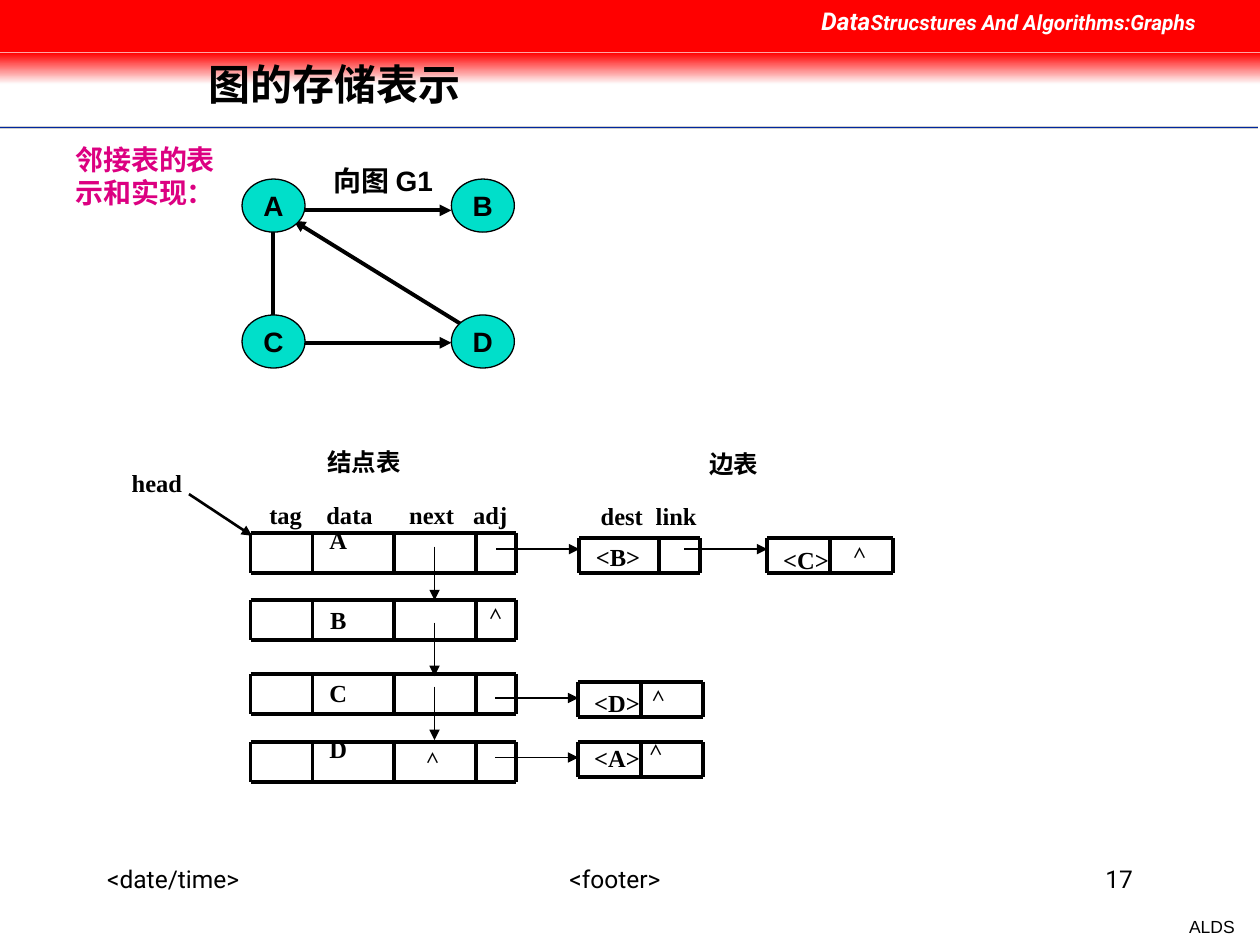
from lxml import etree
from pptx import Presentation
from pptx import util as u
from pptx.dml.color import RGBColor
from pptx.enum import shapes, text as t
from pptx.oxml.ns import qn

BLACK, WHITE, RED, PINK, TEAL = "000000", "FFFFFF", "FF0000", "DC0081", "00DFCA"
SANS, SERIF, CHINESE, HEADER = "Arial", "Times New Roman", "Noto Sans CJK SC", "Roboto"
LEFT, CENTER, RIGHT = t.PP_ALIGN.LEFT, t.PP_ALIGN.CENTER, t.PP_ALIGN.RIGHT


def color(hex_code):
    return RGBColor.from_string(hex_code)


def write(paragraph, words, size=14, font=SERIF, ink=BLACK, bold=True, italic=False):
    run = paragraph.add_run()
    run.text = words
    face = run.font
    face.size, face.bold, face.italic, face.name = u.Pt(size), bold, italic, font
    face.color.rgb = color(ink)
    etree.SubElement(face._element, qn("a:ea")).set("typeface", CHINESE)


def label(slide, words, x, y, w, h, align=LEFT, anchor=t.MSO_ANCHOR.TOP, wrap=True,
          fill=None, tabs=(), **style):
    """Place a text box and return its paragraph; tabs are stops in cm."""
    box = slide.shapes.add_textbox(u.Cm(x), u.Cm(y), u.Cm(w), u.Cm(h))
    if fill:
        box.fill.solid()
        box.fill.fore_color.rgb = color(fill)
    frame = box.text_frame
    frame.word_wrap, frame.vertical_anchor = wrap, anchor
    paragraph = frame.paragraphs[0]
    paragraph.alignment = align
    if tabs:
        stops = etree.SubElement(paragraph._p.get_or_add_pPr(), qn("a:tabLst"))
        for stop in tabs:
            etree.SubElement(stops, qn("a:tab"), pos=str(u.Cm(stop)), algn="l")
    write(paragraph, words, **style)
    return paragraph


def line(slide, x1, y1, x2, y2, width=2.25, ink=BLACK, arrow=False):
    stroke = slide.shapes.add_connector(
        shapes.MSO_CONNECTOR.STRAIGHT, u.Cm(x1), u.Cm(y1), u.Cm(x2), u.Cm(y2))
    stroke.line.width = u.Pt(width)
    stroke.line.color.rgb = color(ink)
    if arrow:
        etree.SubElement(stroke.line._get_or_add_ln(), qn("a:tailEnd"), type="triangle")
    etree.SubElement(stroke._element.spPr, qn("a:effectLst"))


def preset(slide, kind, x, y, w, h):
    shape = slide.shapes.add_shape(kind, u.Cm(x), u.Cm(y), u.Cm(w), u.Cm(h))
    shape.shadow.inherit = False
    shape.line.fill.background()
    return shape


def header(slide, x, y, w):
    for rule_y, width, ink in ((2.57, 2, "CECECE"), (2.57, 1, "00279F"), (2.62, 1, WHITE)):
        line(slide, x, y + rule_y, x + w - 0.05, y + rule_y, width, ink)
    fade = preset(slide, shapes.MSO_SHAPE.RECTANGLE, x, y + 1.06, w, 0.64)
    fade.fill.gradient()
    fade.fill.gradient_angle = 270
    for stop, ink in zip(fade.fill.gradient_stops, (RED, "FEFEFE")):
        stop.color.rgb = color(ink)
    band = preset(slide, shapes.MSO_SHAPE.RECTANGLE, x, y, w, 1.06)
    band.fill.solid()
    band.fill.fore_color.rgb = color(RED)
    course = dict(font=HEADER, ink=WHITE, italic=True)
    paragraph = label(slide, "Data", x + 16.31, y, 9.09, 0.86, **course)
    write(paragraph, "Strucstures And Algorithms:Graphs", size=12, **course)
    title = label(slide, "图的存储表示", x + 3.96, y + 0.81, 19.18, 1.88,
                  anchor=t.MSO_ANCHOR.MIDDLE, size=24, font=SANS)
    title.line_spacing = 0.9


def footer(slide, x, y):
    for words, dx, w, align in (("<date/time>", 0, 4.88, LEFT),
                                ("<footer>", 6.78, 7.42, CENTER),
                                ("17", 16.3, 4.88, RIGHT)):
        label(slide, words, x + dx, y, w, 1.27, align, font=HEADER, bold=False)
    label(slide, "ALDS", x + 21.81, y + 1.04, 1.42, 0.69, RIGHT, wrap=False,
          size=10, font=SANS, bold=False)


def directed_graph(slide, x, y):
    column, row, w, h = 4.22, 2.74, 1.27, 1.07
    edges = ((0.63, 0.84, 0.63, 2.95, False), (w, 0.63, column, 0.63, True),
             (w, 3.3, column, 3.3, True), (4.44, 2.94, 1.04, 0.84, True))
    for x1, y1, x2, y2, arrow in edges:
        line(slide, x + x1, y + y1, x + x2, y + y2, arrow=arrow)
    for i, vertex in enumerate("ABCD"):
        oval = preset(slide, shapes.MSO_SHAPE.OVAL,
                      x + i % 2 * column, y + i // 2 * row, w, h)
        oval.fill.solid()
        oval.fill.fore_color.rgb = color(TEAL)
        oval.line.color.rgb = color(BLACK)
        oval.line.width = u.Pt(0.75)
        oval.text_frame.word_wrap = False
        oval.text_frame.vertical_anchor = t.MSO_ANCHOR.MIDDLE
        paragraph = oval.text_frame.paragraphs[0]
        paragraph.alignment = CENTER
        write(paragraph, vertex, size=16, font=SANS)
    label(slide, "向图 G1", x + 1.04, y - 0.43, 3.61, 0.94, CENTER, size=16, font=SANS)


def record(slide, x, y, h, dividers):
    """Draw one row of cells; the last divider is its right side."""
    for line_y in (y, y + h):
        line(slide, x, line_y, x + dividers[-1], line_y)
    for dx in (0, *dividers):
        line(slide, x + dx, y, x + dx, y + h)


def null_mark(slide, x, y):
    label(slide, "∧", x, y, 1.88, 0.94, size=8, font=CHINESE)


def node_table(slide, x, y):
    label(slide, "结点表", x + 1.3, y - 1.85, 2.46, 0.81, fill=WHITE, font=CHINESE)
    label(slide, "tag\tdata\tnext\tadj", x + 0.13, y - 0.78, 6.99, 0.86,
          tabs=(1.15, 2.82, 4.11))
    label(slide, "head", x - 2.94, y - 1.42, 2.11, 0.86, CENTER)
    line(slide, x - 1.24, y - 0.78, x + 0.03, y + 0.06, 1.5, arrow=True)
    # vertex, row offset, name offset, start of the next pointer
    rows = (("A", 0, -0.28, 0.28), ("B", 1.35, -0.02, 0.46),
            ("C", 2.85, -0.05, 0.25), ("D", 4.22, -0.28, None))
    for vertex, dy, name_dy, next_dy in rows:
        top = y + dy
        record(slide, x, top, 0.81, (1.25, 2.9, 4.55, 5.36))
        label(slide, vertex, x + 1.25, top + name_dy, 1.04, 0.86, CENTER)
        if next_dy:
            start = top + next_dy
            line(slide, x + 3.71, start, x + 3.71, start + 1.08, 1, arrow=True)
    null_mark(slide, x + 4.55, y + 1.35)
    null_mark(slide, x + 3.28, y + 4.25)


def edge_table(slide, x, y):
    label(slide, "边表", x + 2.37, y - 1.93, 2.46, 0.81, fill=WHITE, font=CHINESE)
    label(slide, "dest\tlink", x + 0.18, y - 0.87, 4, 0.86, tabs=(1.11,))
    # target, cell offset, dividers, name offset, pointer height, null offset
    cells = (("<B>", 0, 0, (1.6, 2.44), -0.05, 0.22, None),
             ("<C>", 3.79, 0, (1.27, 2.54), 0.02, 0.22, (1.47, 0)),
             ("<D>", -0.02, 2.89, (1.27, 2.51), 0, 0.33, (1.22, 0)),
             ("<A>", -0.02, 4.11, (1.27, 2.51), -0.1, 0.31, (1.17, -0.13)))
    for target, dx, dy, dividers, name_dy, pointer_dy, null in cells:
        left, top = x + dx, y + dy
        record(slide, left, top, 0.71, dividers)
        label(slide, target, left - 0.45, top + name_dy, 2.46, 0.86, CENTER)
        line(slide, left - 1.68, top + pointer_dy, left, top + pointer_dy, 1, arrow=True)
        if null:
            null_mark(slide, left + null[0], top + null[1])


def main():
    deck = Presentation()
    deck.slide_width, deck.slide_height = u.Cm(25.4), u.Cm(19.05)
    slide = deck.slides.add_slide(deck.slide_layouts[6])
    header(slide, 0, 0, 25.4)
    footer(slide, 1.91, 17.3)
    label(slide, "邻接表的表示和实现：", 1.27, 2.74, 3.81, 1.63,
          size=16, font=SANS, ink=PINK)
    directed_graph(slide, 4.88, 3.61)
    node_table(slide, 5.05, 10.74)
    edge_table(slide, 11.68, 10.85)
    deck.save("out.pptx")


if __name__ == "__main__":
    main()
